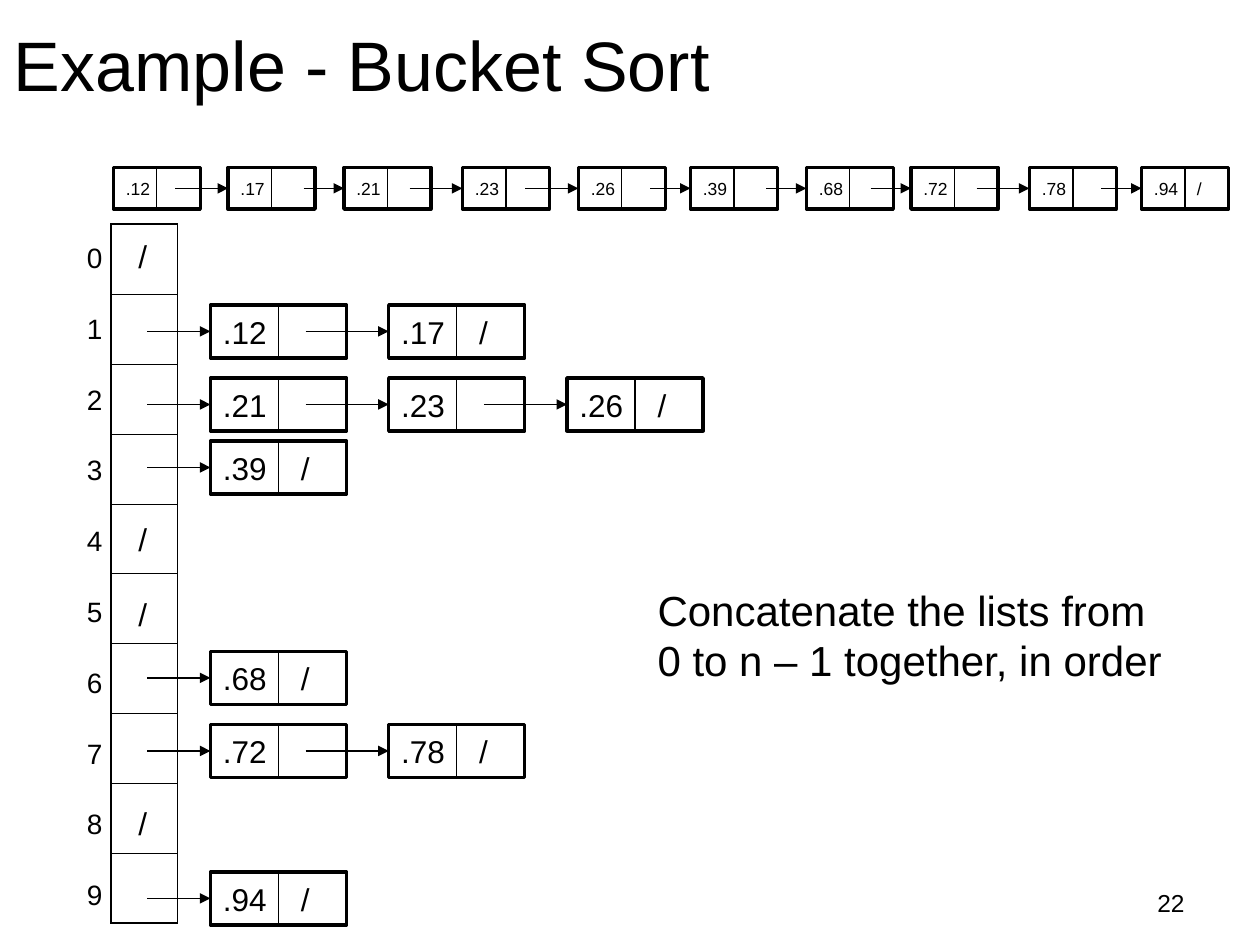
from pptx import Presentation, util as u
from pptx.dml.color import RGBColor
from pptx.enum import shapes, text
from pptx.oxml import parse_xml
from pptx.oxml.ns import nsdecls, qn

INK = "000000"
BUCKETS = {
    1: (2.42, [".12", ".17"]),
    2: (3.0, [".21", ".23", ".26"]),
    3: (3.5, [".39"]),
    6: (5.17, [".68"]),
    7: (5.75, [".72", ".78"]),
    9: (6.92, [".94"]),
}
SORTED = [
    (".12", 0.9, 0), (".17", 1.81, 0.42), (".21", 2.73, 0.32), (".23", 3.67, 0.42),
    (".26", 4.59, 0.42), (".39", 5.48, 0.32), (".68", 6.4, 0.32), (".72", 7.23, 0.32),
    (".78", 8.17, 0.42), (".94", 9.06, 0.32),
]
SLASH_TOPS = [1.83, 4.08, 4.67, 6.33]


def color(value):
    return RGBColor.from_string(value)


def write(tf, words, size, align=text.PP_ALIGN.LEFT, tab=None, wrap=False,
          anchor=text.MSO_ANCHOR.TOP):
    tf.word_wrap, tf.vertical_anchor = wrap, anchor
    for i, line in enumerate(words.split("\n")):
        p = tf.paragraphs[0] if i == 0 else tf.add_paragraph()
        p.alignment = align
        r = p.add_run()
        r.text = line
        r.font.name, r.font.size = "Arial", u.Pt(size)
        r.font.color.rgb = color(INK)
        if tab:
            p._p.get_or_add_pPr().append(parse_xml(
                f'<a:tabLst {nsdecls("a")}><a:tab pos="{u.Inches(tab)}" algn="l"/></a:tabLst>'))


class Diagram:
    """Draws the parts of a bucket sort diagram on one slide."""

    def __init__(self, slide, thin=0.74, thick=2):
        self.slide, self.thin, self.thick = slide, thin, thick

    def title(self, words):
        sp = self.slide.shapes.title
        sp.left, sp.top, sp.width, sp.height = map(u.Inches, (0.01, 0.01, 9, 0.99))
        sp.text_frame.auto_size = text.MSO_AUTO_SIZE.NONE
        write(sp.text_frame, words, 40, wrap=True, anchor=text.MSO_ANCHOR.MIDDLE)

    def label(self, words, x, y, w, h, size, **fmt):
        sp = self.slide.shapes.add_textbox(*map(u.Inches, (x, y, w, h)))
        write(sp.text_frame, words, size, **fmt)

    def line(self, x1, y1, x2, y2, arrow=False):
        sp = self.slide.shapes.add_connector(
            shapes.MSO_CONNECTOR.STRAIGHT, *map(u.Inches, (x1, y1, x2, y2)))
        sp.line.width = u.Pt(self.thin)
        sp.line.color.rgb = color(INK)
        if arrow:
            sp.line._get_or_add_ln().append(
                parse_xml(f'<a:tailEnd {nsdecls("a")} type="triangle"/>'))
        sp._element.spPr.append(parse_xml(f'<a:effectLst {nsdecls("a")}/>'))

    def node(self, value, x, y, w, h, size, tab, lead, last):
        sp = self.slide.shapes.add_shape(
            shapes.MSO_SHAPE.RECTANGLE, *map(u.Inches, (x, y, w, h)))
        sp.shadow.inherit = False
        sp.fill.background()
        sp.line.width = u.Pt(self.thick)
        sp.line.color.rgb = color(INK)
        write(sp.text_frame, value + "\t/" if last else value, size,
              tab=tab if last else None, wrap=True, anchor=text.MSO_ANCHOR.MIDDLE)
        self.line(x + w / 2, y, x + w / 2, y + h)
        if lead:
            self.line(x - lead, y + h / 2, x, y + h / 2, arrow=True)

    def bucket_column(self, x, y, w, h, rows):
        table = self.slide.shapes.add_table(rows, 1, *map(u.Inches, (x, y, w, h))).table
        table.first_row = table.horz_banding = False
        for i, row in enumerate(table.rows):
            row.height = u.Inches(h / rows)
            cell = row.cells[0]
            cell.fill.background()
            pr = cell._tc.get_or_add_tcPr()
            widths = {"L": 1.08, "R": 1.08, "T": 0.45 if i else 1.08,
                      "B": 0.45 if i < rows - 1 else 1.08}
            for n, (side, width) in enumerate(widths.items()):
                pr.insert(n, parse_xml(
                    f'<a:ln{side} {nsdecls("a")} w="{u.Pt(width)}"><a:solidFill>'
                    f'<a:srgbClr val="{INK}"/></a:solidFill></a:ln{side}>'))
        table._tbl.tblPr.find(qn("a:tableStyleId")).text = "{2D5ABB26-0587-4C30-8999-92F81FD0307C}"


prs = Presentation()
prs.slide_width, prs.slide_height = u.Inches(10), u.Inches(7.5)
d = Diagram(prs.slides.add_slide(prs.slide_layouts[5]))

d.title("Example - Bucket Sort")
d.label("22", 7.17, 7, 2.33, 0.35, 14, align=text.PP_ALIGN.RIGHT, wrap=True)
d.bucket_column(0.88, 1.78, 0.53, 5.55, 10)
for i in range(10):
    d.label(str(i), 0.59, 1.86 + i * 0.562, 0.32, 0.37, 16)
for top in SLASH_TOPS:
    d.label("/", 1, top, 0.27, 0.4, 18)
for top, values in BUCKETS.values():
    for i, value in enumerate(values):
        d.node(value, 1.67 + i * 1.415, top, 1.08, 0.42, 18, tab=0.62,
               lead=0.66 if i else 0.5, last=value == values[-1])
for value, left, lead in SORTED:
    d.node(value, left, 1.33, 0.69, 0.33, 10, tab=0.34, lead=lead, last=value == ".94")
d.label("Concatenate the lists from\n0 to n – 1 together, in order", 5.12, 4.59, 4.22, 0.9, 24)

prs.save("out.pptx")
